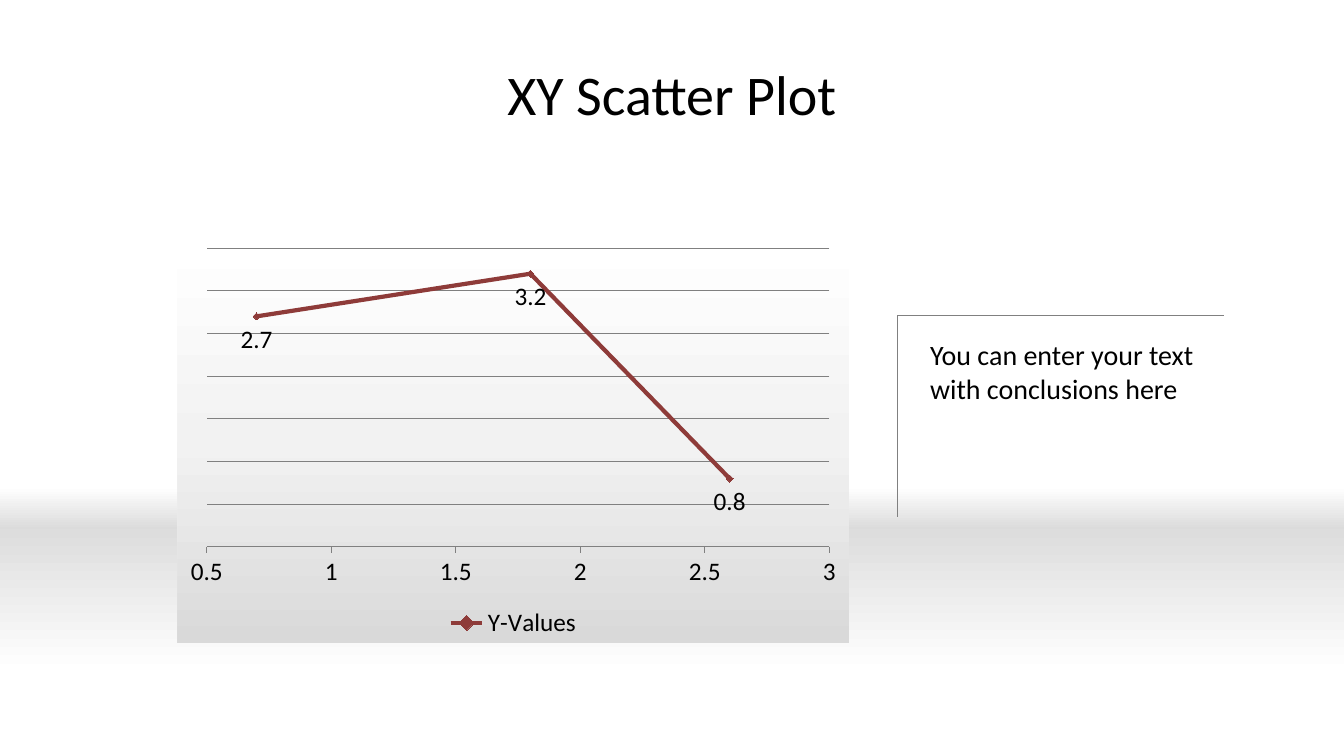
from lxml.etree import SubElement
from pptx import Presentation
from pptx.chart.data import XyChartData
from pptx.chart.datalabel import DataLabels
from pptx.dml.color import RGBColor
from pptx.enum.chart import XL_CHART_TYPE as ChartType
from pptx.enum.chart import XL_LABEL_POSITION as LabelPosition
from pptx.enum.chart import XL_LEGEND_POSITION as LegendPosition
from pptx.enum.chart import XL_MARKER_STYLE as MarkerStyle
from pptx.enum.chart import XL_TICK_MARK as TickMark
from pptx.enum.shapes import MSO_CONNECTOR as Connector
from pptx.enum.shapes import MSO_SHAPE as Shape
from pptx.enum.text import MSO_ANCHOR as Anchor
from pptx.enum.text import PP_ALIGN as Align
from pptx.oxml import parse_xml
from pptx.oxml.ns import nsdecls, qn
from pptx.util import Cm, Pt

FONT = "Calibri"
BLACK, GREY, DARK_RED = "000000", "808080", "8E3B39"
TITLE = ("XY Scatter Plot", 40, (1.69, 0.76, 30.48, 3.18), Align.CENTER, Anchor.MIDDLE)
CONCLUSION = ("You can enter your text with conclusions here", 20,
              (23.19, 8.38, 7.65, 1.96), Align.LEFT, Anchor.TOP)
FLOOR_BANDS = [
    ((0, 13.34, 33.87, 3.6), ["DDDDDD", "FFFFFF"]),
    ((0, 12.27, 33.87, 1.07), ["FFFFFF", "DBDBDB"]),
]
CHART_BOX = (4.47, 6.05, 16.93, 10.16)
CHART_GRADIENT = ["FFFFFF", "F2F2F2", "D9D9D9"]
SERIES_NAME = "Y-Values"
POINTS = [(0.7, 2.7), (1.8, 3.2), (2.6, 0.8)]
CORNER = (22.61, 7.95)
CORNER_ENDS = [(22.61, 13.03), (30.84, 7.95)]


def color(hex_value):
    return RGBColor.from_string(hex_value)


def lengths(values):
    return [Cm(value) for value in values]


def gradient_fill(colors):
    fill = parse_xml(f'<a:gradFill {nsdecls("a")} rotWithShape="1"/>')
    stops = SubElement(fill, qn("a:gsLst"))
    for index, hex_value in enumerate(colors):
        position = 100000 * index // (len(colors) - 1)
        stop = SubElement(stops, qn("a:gs"), pos=str(position))
        SubElement(stop, qn("a:srgbClr"), val=hex_value)
    SubElement(fill, qn("a:lin"), ang="5400000", scaled="0")
    return fill


def style_font(font, size):
    font.name = FONT
    font.size = Pt(size)
    font.color.rgb = color(BLACK)


def style_line(line, hex_value, width):
    line.color.rgb = color(hex_value)
    line.width = Pt(width)


def add_band(slide, box, colors):
    shape = slide.shapes.add_shape(Shape.RECTANGLE, *lengths(box))
    shape.shadow.inherit = False
    shape.line.fill.background()
    properties = shape._element.spPr
    properties.find(qn("a:prstGeom")).addnext(gradient_fill(colors))


def add_text(slide, text, size, box, alignment, anchor):
    frame = slide.shapes.add_textbox(*lengths(box)).text_frame
    frame.word_wrap = True
    frame.vertical_anchor = anchor
    paragraph = frame.paragraphs[0]
    paragraph.alignment = alignment
    run = paragraph.add_run()
    run.text = text
    style_font(run.font, size)


def add_rule(slide, start, end):
    rule = slide.shapes.add_connector(Connector.STRAIGHT, *lengths(start + end))
    style_line(rule.line, GREY, 0.75)
    SubElement(rule._element.spPr, qn("a:effectLst"))


def add_scatter(slide):
    data = XyChartData()
    points = data.add_series(SERIES_NAME)
    for x, y in POINTS:
        points.add_data_point(x, y)
    chart = slide.shapes.add_chart(
        ChartType.XY_SCATTER_LINES, *lengths(CHART_BOX), data).chart
    style_font(chart.font, 18)
    chart.has_title = False
    chart.has_legend = True
    chart.legend.position = LegendPosition.BOTTOM
    chart.legend.include_in_layout = False

    area = parse_xml(f'<c:spPr {nsdecls("c", "a")}/>')
    area.append(gradient_fill(CHART_GRADIENT))
    outline = SubElement(area, qn("a:ln"))
    SubElement(outline, qn("a:noFill"))
    chart._chartSpace.find(qn("c:txPr")).addprevious(area)

    x_axis, y_axis = chart.category_axis, chart.value_axis
    for axis, low, high in [(x_axis, 0.5, 3), (y_axis, 0, 3.5)]:
        axis.minimum_scale = low
        axis.maximum_scale = high
        axis.major_unit = 0.5
    x_axis.has_major_gridlines = False
    x_axis.major_tick_mark = TickMark.OUTSIDE
    x_axis.tick_labels.number_format = "General"
    x_axis.tick_labels.number_format_is_linked = False
    style_line(x_axis.format.line, GREY, 0.75)
    y_axis.has_major_gridlines = True
    style_line(y_axis.major_gridlines.format.line, GREY, 0.75)
    y_axis.visible = False

    plot = chart.plots[0]
    plot.vary_by_categories = False
    series = plot.series[0]
    series._element.get_or_add_smooth().val = False
    style_line(series.format.line, DARK_RED, 3)
    marker = series.marker
    marker.style = MarkerStyle.DIAMOND
    marker.size = 5
    marker.format.fill.solid()
    marker.format.fill.fore_color.rgb = color(DARK_RED)
    style_line(marker.format.line, DARK_RED, 0.75)
    labels = DataLabels(series._element.get_or_add_dLbls())
    labels.show_value = True
    labels.position = LabelPosition.BELOW
    style_font(labels.font, 18)


def main():
    presentation = Presentation()
    presentation.slide_width, presentation.slide_height = lengths((33.87, 19.05))
    slide = presentation.slides.add_slide(presentation.slide_layouts[6])
    for box, colors in FLOOR_BANDS:
        add_band(slide, box, colors)
    add_text(slide, *TITLE)
    add_scatter(slide)
    add_text(slide, *CONCLUSION)
    for end in CORNER_ENDS:
        add_rule(slide, CORNER, end)
    presentation.save("out.pptx")


if __name__ == "__main__":
    main()
